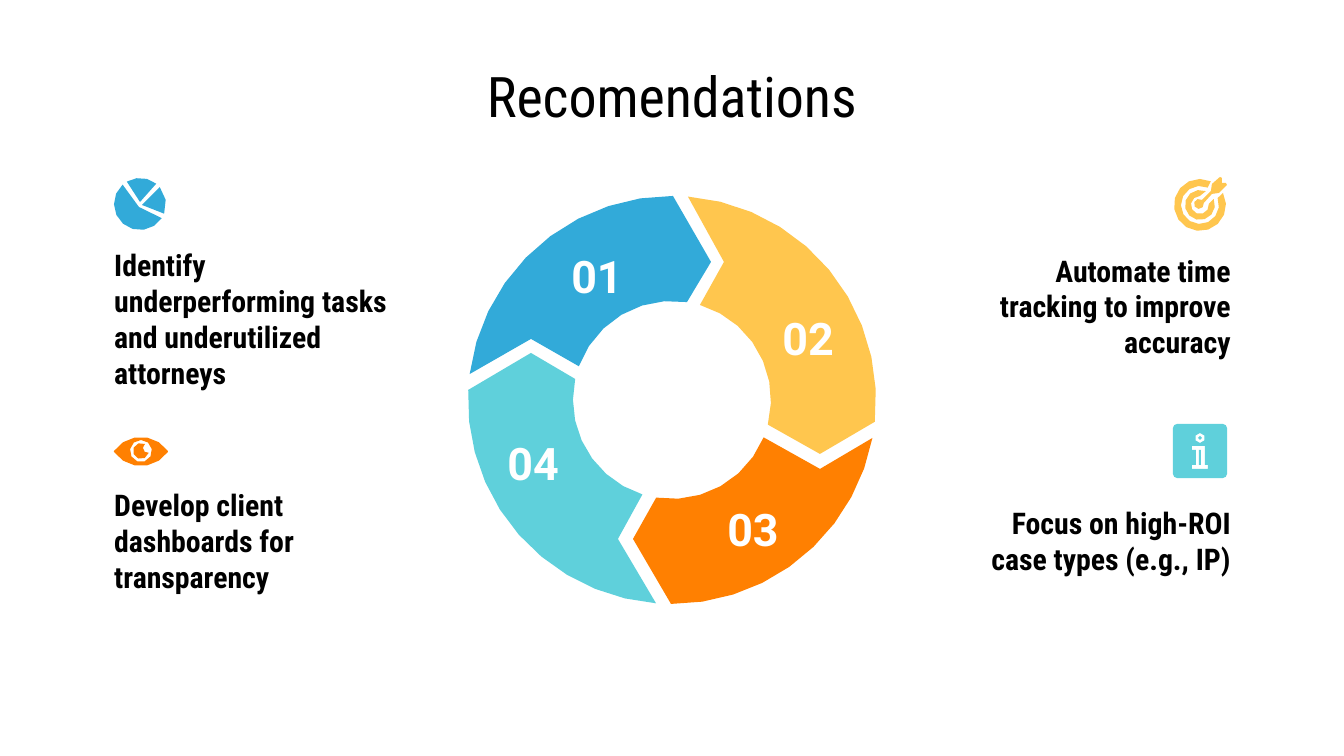
"""Build a slide with a four-part cycle ring and four recommendations."""
from math import atan2, cos, pi, sin, sqrt

from pptx import Presentation
from pptx.dml.color import RGBColor
from pptx.enum.text import MSO_ANCHOR, MSO_AUTO_SIZE, PP_ALIGN
from pptx.util import Emu, Pt

BLUE = RGBColor(0x32, 0xAA, 0xD9)
YELLOW = RGBColor(0xFF, 0xC6, 0x4E)
ORANGE = RGBColor(0xFF, 0x80, 0x01)
TEAL = RGBColor(0x5F, 0xD0, 0xDB)
BLACK = RGBColor(0, 0, 0)
WHITE = RGBColor(0xFF, 0xFF, 0xFF)
LEFT, CENTER, RIGHT = PP_ALIGN.LEFT, PP_ALIGN.CENTER, PP_ALIGN.RIGHT
MIDDLE = MSO_ANCHOR.MIDDLE
NO_FIT = MSO_AUTO_SIZE.NONE
CONDENSED = "Roboto Condensed"


def px(n):
    """Convert pixels to EMU."""
    return Emu(round(n * 914400 / 134.4))


def arc(center, radius, start, end):
    """Return points of the clockwise arc between the directions of two points."""
    cx, cy = center
    first, last = (atan2(y - cy, x - cx) for x, y in (start, end))
    sweep = (last - first) % (2 * pi) or 2 * pi
    steps = max(2, round(sweep * sqrt(radius) * 0.45))
    angles = [first + sweep * i / steps for i in range(steps + 1)]
    return [(cx + radius * cos(a), cy + radius * sin(a)) for a in angles]


def circle(center, radius):
    """Return the points of a full circle."""
    top = (center[0], center[1] - radius)
    return arc(center, radius, top, top)[:-1]


def add_outline(shapes, x, y, color, *contours):
    """Draw closed contours, given relative to x and y, as one filled shape."""
    placed = [[(px(x + a), px(y + b)) for a, b in c] for c in contours]
    fb = shapes.build_freeform(*placed[0][0], scale=1.0)
    fb.add_line_segments(placed[0][1:], close=True)
    for points in placed[1:]:
        fb.move_to(*points[0])
        fb.add_line_segments(points[1:], close=True)
    sp = fb.convert_to_shape()
    sp.shadow.inherit = False
    sp.fill.solid()
    sp.fill.fore_color.rgb = color
    sp.line.fill.background()


def set_text(sp, box, text, size, font, color, bold, align):
    """Place a text shape in its box and format its single paragraph."""
    sp.left, sp.top, sp.width, sp.height = map(px, box)
    tf = sp.text_frame
    tf.word_wrap = True
    tf.auto_size = NO_FIT
    tf.vertical_anchor = MIDDLE
    p = tf.paragraphs[0]
    p.text = text
    p.alignment = align
    p.font.size = Pt(size)
    p.font.name = font
    p.font.bold = bold
    p.font.color.rgb = color


def add_text(slide, box, *style):
    """Add a formatted text box."""
    set_text(slide.shapes.add_textbox(*map(px, box)), box, *style)


def add_ring(slide, x, y):
    """Draw the ring of four arrow segments with their numbers."""
    center, outer, inner = (204, 204), 204, 99
    segments = [
        (BLUE, (84, 59), (1, 178), (205, 0), (243, 66), (219, 106), (110, 170), (63, 143)),
        (YELLOW, (295, 121), (220, 0), (408, 226), (352, 258), (301, 229), (232, 109), (256, 66)),
        (ORANGE, (240, 312), (404, 242), (203, 408), (165, 343), (188, 303), (297, 242), (352, 273)),
        (TEAL, (20, 246), (188, 408), (0, 194), (63, 157), (107, 183), (174, 300), (150, 343)),
    ]
    for n, (color, label, start, end, head, in_end, in_start, notch) in enumerate(segments, 1):
        rim = arc(center, outer, start, end)
        hub = arc(center, inner, in_start, in_end)[::-1]
        add_outline(slide.shapes, x, y, color, [*rim, head, *hub, notch])
        box = (x + label[0], y + label[1], 90, 42)
        add_text(slide, box, f"{n:02}", 24, "Roboto", WHITE, True, CENTER)


def add_pie_icon(shapes, x, y):
    """Draw a pie chart in three slices."""
    slices = [((25, 29), (49, 41), (9, 7)),
              ((26, 24), (13, 4), (42, 6)),
              ((28, 27), (46, 9), (51, 36))]
    for corner, start, end in slices:
        add_outline(shapes, x, y, BLUE, [corner, *arc((26, 26), 26, start, end)])


def add_target_icon(shapes, x, y):
    """Draw two open rings with a dart."""
    center = (27, 28)
    rings = [(26, (50, 16), (38, 4), 19, (45, 21), (35, 10)),
             (15, (41, 22), (33, 14), 9, (35, 27), (27, 19))]
    for outer, start, end, inner, in_start, in_end in rings:
        rim = arc(center, outer, start, end)
        add_outline(shapes, x, y, YELLOW, rim + arc(center, inner, in_start, in_end)[::-1])
    tip = arc((26, 27), 5, (31, 26), (29, 23))[::-1]
    add_outline(shapes, x, y, YELLOW, [
        (47, 0), (39, 7), (38, 14), *tip, (39, 17), (46, 16),
        (54, 8), (53, 6), (49, 6), (49, 1)])


def add_eye_icon(shapes, x, y):
    """Draw an eye with a notched iris."""
    lids = arc((27, 33), 33, (0, 14), (54, 14)) + arc((27, -4), 33, (54, 15), (0, 15))
    pupil = (27, 14)
    add_outline(shapes, x, y, ORANGE, lids, circle(pupil, 11))
    iris = arc(pupil, 8, (35, 16), (31, 7))
    glint = arc((34, 11), 5, (35, 16), (31, 7))[::-1]
    add_outline(shapes, x, y, ORANGE, iris + glint)


def add_info_icon(shapes, x, y):
    """Draw a rounded square with an outlined letter i."""
    r, far = 4, 50
    corners = [((r, r), (0, r), (r, 0)), ((far, r), (far, 0), (54, r)),
               ((far, far), (54, far), (far, 54)), ((r, far), (r, 54), (0, far))]
    square = [p for c, start, end in corners for p in arc(c, r, start, end)]
    letter = [(19, 22), (32, 22), (32, 41), (35, 41), (35, 45),
              (19, 45), (19, 41), (23, 41), (23, 26), (19, 26)]
    stem = [(26, 26), (28, 26), (28, 41), (26, 41)]
    dot = (27, 14)
    add_outline(shapes, x, y, TEAL, square, circle(dot, 5), circle(dot, 2), letter, stem)


def add_item(slide, box, text, align, add_icon, icon_x, icon_y):
    """Add a recommendation with its icon at an offset from the text box."""
    add_icon(slide.shapes, box[0] + icon_x, box[1] + icon_y)
    add_text(slide, box, text, 16, CONDENSED, BLACK, True, align)


def main():
    """Build and save the presentation."""
    prs = Presentation()
    prs.slide_width, prs.slide_height = px(1344), px(756)
    slide = prs.slides.add_slide(prs.slide_layouts[5])
    set_text(slide.shapes.title, (67, 60, 1210, 71), "Recomendations",
             30, CONDENSED, BLACK, False, CENTER)
    add_ring(slide, 468, 196)
    add_item(slide, (101, 235, 308, 167),
             "Identify underperforming tasks and underutilized attorneys",
             LEFT, add_pie_icon, 13, -57)
    add_item(slide, (101, 484, 288, 113), "Develop client dashboards for transparency",
             LEFT, add_eye_icon, 13, -47)
    add_item(slide, (956, 235, 288, 142), "Automate time tracking to improve accuracy",
             RIGHT, add_target_icon, 217, -58)
    add_item(slide, (956, 484, 288, 113), "Focus on high-ROI case types (e.g., IP)",
             RIGHT, add_info_icon, 217, -60)
    prs.save("out.pptx")


if __name__ == "__main__":
    main()
